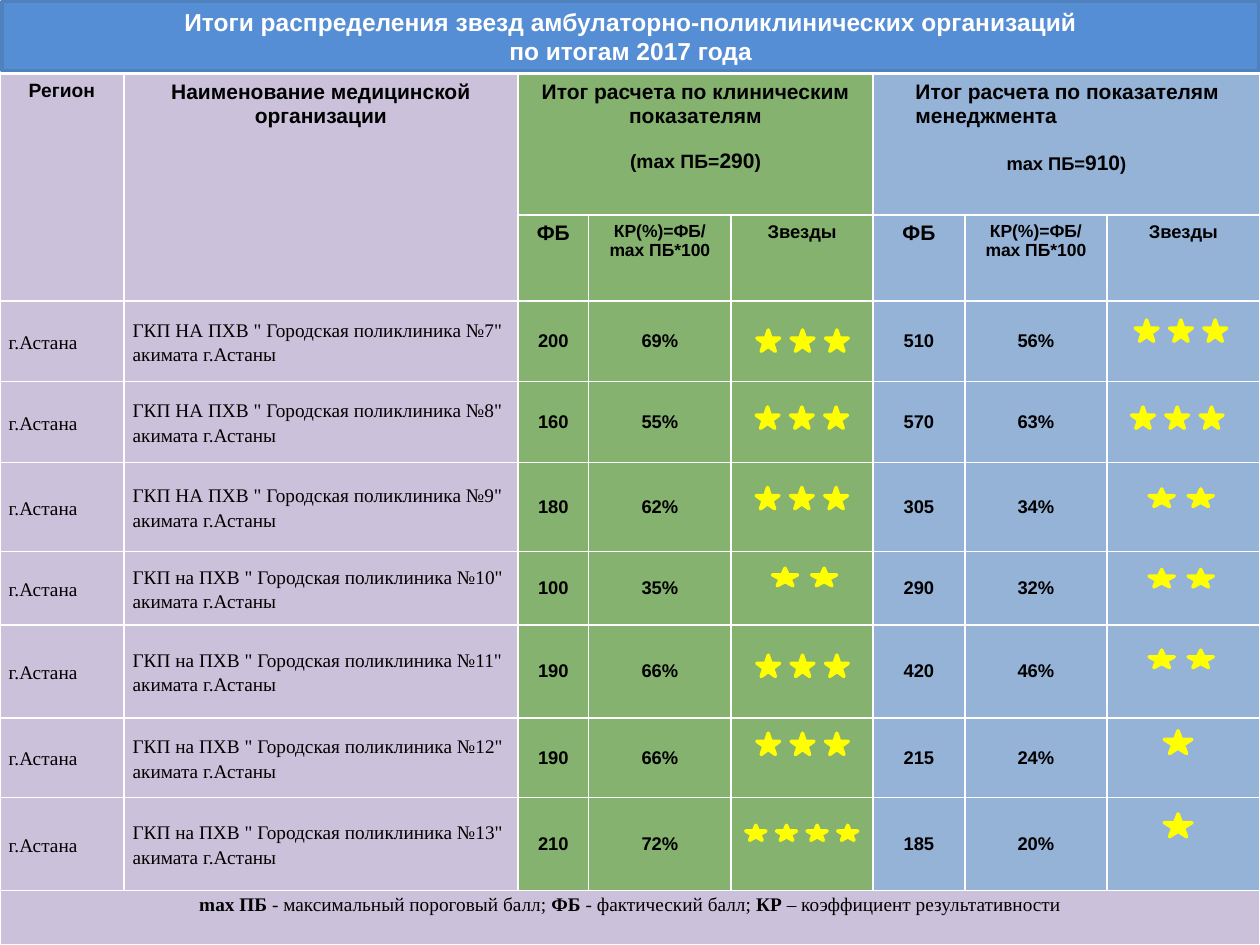
"""Build the slide with the 2017 star ratings of Astana outpatient clinics."""
from dataclasses import dataclass

from lxml.etree import SubElement
from pptx import Presentation
from pptx.dml.color import RGBColor
from pptx.enum.shapes import MSO_SHAPE as Preset
from pptx.enum.text import MSO_ANCHOR as Anchor, PP_ALIGN as Align
from pptx.oxml.ns import qn
from pptx.slide import Slide
from pptx.table import Table, _Cell as Cell
from pptx.util import Pt

WHITE = RGBColor(0xFF, 0xFF, 0xFF)
BLACK = RGBColor(0x00, 0x00, 0x00)
TITLE_BLUE = RGBColor(0x55, 0x8E, 0xD5)
TITLE_EDGE = RGBColor(0x4F, 0x81, 0xBD)
LILAC = RGBColor(0xCC, 0xC1, 0xDA)
GREEN = RGBColor(0x85, 0xB2, 0x6E)
BLUE = RGBColor(0x95, 0xB3, 0xD7)
YELLOW = RGBColor(0xFF, 0xFF, 0x00)
SANS, SERIF = "Arial", "Times New Roman"

COLUMN_WIDTHS = (70.8, 225.2, 40.4, 81.4, 81.2, 52.4, 81.2, 87.4)
HEADER_HEIGHTS = (80.6, 49)
FOOTER_HEIGHT = 31
TABLE_TOP = 42.4
COLUMN_FILLS = (LILAC,) * 2 + (GREEN,) * 3 + (BLUE,) * 3
CELL_MARGINS = (7.2, 3.6)
NAME_MARGINS = (5, 0)


@dataclass(frozen=True)
class Text:
    content: str
    size: float
    font: str = SANS
    bold: bool = True


@dataclass(frozen=True)
class Line:
    runs: tuple[Text, ...]
    align: Align = Align.CENTER
    spacing: float = 1
    before: float = 0
    indent: float = 0


@dataclass(frozen=True)
class StarSize:
    width: float
    height: float
    pitch: float = 0


@dataclass(frozen=True)
class Score:
    points: int
    percent: int
    stars: int
    center: float
    top: float


@dataclass(frozen=True)
class Clinic:
    name: str
    height: float
    clinical: Score
    management: Score


STAR_SIZES = {
    1: StarSize(15.8, 13),
    2: StarSize(14.4, 10, 22.3),
    3: StarSize(13, 12.2, 19.6),
    4: StarSize(11.5, 8.6, 17.5),
}
CLINICS = (
    Clinic("НА ПХВ \" Городская поликлиника №7\"", 46.1,
           Score(200, 69, 3, 458.6, 188.6), Score(510, 56, 3, 674.8, 182.9)),
    Clinic("НА ПХВ \" Городская поликлиника №8\"", 46.1,
           Score(160, 55, 3, 458.2, 232.6), Score(570, 63, 3, 672.7, 232.6)),
    Clinic("НА ПХВ \" Городская поликлиника №9\"", 51.1,
           Score(180, 62, 3, 458.2, 278.6), Score(305, 34, 2, 675, 279.4)),
    Clinic("на ПХВ \" Городская поликлиника №10\"", 41.8,
           Score(100, 35, 2, 459.8, 324.7), Score(290, 32, 2, 675, 325.4)),
    Clinic("на ПХВ \" Городская поликлиника №11\"", 53.3,
           Score(190, 66, 3, 458.6, 374.4), Score(420, 46, 2, 675, 371.5)),
    Clinic("на ПХВ \" Городская поликлиника №12\"", 45.4,
           Score(190, 66, 3, 458.6, 419), Score(215, 24, 1, 673.2, 417.6)),
    Clinic("на ПХВ \" Городская поликлиника №13\"", 53.3,
           Score(210, 72, 4, 458.2, 471.6), Score(185, 20, 1, 673.2, 465.1)),
)


def add_text(paragraph, text: Text, color: RGBColor = BLACK) -> None:
    run = paragraph.add_run()
    run.text = text.content
    run.font.size, run.font.name, run.font.bold = Pt(text.size), text.font, text.bold
    run.font.color.rgb = color


def style_cell(cell: Cell, fill: RGBColor) -> None:
    cell.fill.solid()
    cell.fill.fore_color.rgb = fill
    properties = cell._tc.get_or_add_tcPr()
    for position, side in enumerate(("a:lnL", "a:lnR", "a:lnT", "a:lnB")):
        border = SubElement(properties, qn(side), w=str(Pt(1)))
        SubElement(SubElement(border, qn("a:solidFill")), qn("a:srgbClr"), val=str(WHITE))
        properties.insert(position, border)


def write_cell(cell: Cell, *lines: Line, anchor: Anchor = Anchor.TOP,
               margins: tuple[float, float] = CELL_MARGINS) -> None:
    side, edge = margins
    cell.margin_left = cell.margin_right = Pt(side)
    cell.margin_top = cell.margin_bottom = Pt(edge)
    cell.vertical_anchor = anchor
    for number, line in enumerate(lines):
        frame = cell.text_frame
        paragraph = frame.add_paragraph() if number else frame.paragraphs[0]
        paragraph.alignment, paragraph.line_spacing = line.align, line.spacing
        if line.before:
            paragraph.space_before = Pt(line.before)
        if line.indent:
            paragraph._p.get_or_add_pPr().set("marL", str(Pt(line.indent)))
        for text in line.runs:
            add_text(paragraph, text)


def write_header(table: Table) -> None:
    for column in (0, 1):
        table.cell(0, column).merge(table.cell(1, column))
    for column in (2, 5):
        table.cell(0, column).merge(table.cell(0, column + 2))
    write_cell(table.cell(0, 0), Line((Text("Регион", 11),)))
    write_cell(table.cell(0, 1), Line((Text("Наименование медицинской организации", 12),)))
    write_cell(table.cell(0, 2), Line((Text("Итог расчета по клиническим показателям", 12),)),
               Line((Text("(mах ПБ=", 11), Text("290", 12), Text(")", 11)), before=12.6))
    write_cell(table.cell(0, 5),
               Line((Text("Итог расчета по показателям менеджмента", 12),), Align.LEFT, indent=17),
               Line((Text("mах ПБ=", 10.5), Text("910", 12), Text(")", 10.5)), before=13.8))
    labels = (Text("ФБ", 12), Text("КР(%)=ФБ/ mах ПБ*100", 10), Text("Звезды", 10.5))
    for first in (2, 5):
        for offset, label in enumerate(labels):
            write_cell(table.cell(1, first + offset), Line((label,)))


def write_clinic(table: Table, row: int, clinic: Clinic) -> None:
    for column, content in enumerate(("г.Астана", f"ГКП {clinic.name} акимата г.Астаны")):
        write_cell(table.cell(row, column), Line((Text(content, 11, SERIF, False),), Align.LEFT, 1.15),
                   anchor=Anchor.MIDDLE, margins=NAME_MARGINS)
    for first, score in ((2, clinic.clinical), (5, clinic.management)):
        for offset, content in enumerate((f"{score.points}", f"{score.percent}%")):
            write_cell(table.cell(row, first + offset), Line((Text(content, 10.5),)),
                       anchor=Anchor.MIDDLE, margins=(0, 0))


def write_footer(table: Table, row: int) -> None:
    table.cell(row, 0).merge(table.cell(row, len(COLUMN_WIDTHS) - 1))
    legend = (("mах ПБ ", "- максимальный пороговый балл; "), ("ФБ", " - фактический балл; "),
              ("КР", " – коэффициент результативности"))
    runs = tuple(Text(content, 11, SERIF, not position)
                 for entry in legend for position, content in enumerate(entry))
    write_cell(table.cell(row, 0), Line(runs, spacing=1.15), margins=NAME_MARGINS)


def add_rating_table(slide: Slide) -> None:
    heights = (*HEADER_HEIGHTS, *(clinic.height for clinic in CLINICS), FOOTER_HEIGHT)
    footer = len(heights) - 1
    table = slide.shapes.add_table(len(heights), len(COLUMN_WIDTHS), Pt(0), Pt(TABLE_TOP),
                                   Pt(sum(COLUMN_WIDTHS)), Pt(sum(heights))).table
    table.first_row = table.horz_banding = False
    for column, width in zip(table.columns, COLUMN_WIDTHS):
        column.width = Pt(width)
    for number, height in enumerate(heights):
        table.rows[number].height = Pt(height)
        for cell, fill in zip(table.rows[number].cells, COLUMN_FILLS):
            style_cell(cell, LILAC if number == footer else fill)
    write_header(table)
    for row, clinic in enumerate(CLINICS, len(HEADER_HEIGHTS)):
        write_clinic(table, row, clinic)
    write_footer(table, footer)


def add_stars(slide: Slide, score: Score) -> None:
    size = STAR_SIZES[score.stars]
    left = score.center - (size.width + size.pitch * (score.stars - 1)) / 2
    shapes = slide.shapes.add_group_shape().shapes if score.stars > 1 else slide.shapes
    for number in range(score.stars):
        star = shapes.add_shape(Preset.STAR_5_POINT, Pt(left + number * size.pitch), Pt(score.top),
                                Pt(size.width), Pt(size.height))
        star.shadow.inherit = False
        star.fill.solid()
        star.fill.fore_color.rgb = star.line.color.rgb = YELLOW
        star.line.width = Pt(2)


def add_title(slide: Slide) -> None:
    title = slide.shapes.title
    title.left, title.top, title.width, title.height = Pt(1.2), Pt(0.8), Pt(718.4), Pt(39.6)
    title.fill.solid()
    title.fill.fore_color.rgb = TITLE_BLUE
    title.line.color.rgb, title.line.width = TITLE_EDGE, Pt(2)
    title.text_frame.vertical_anchor = Anchor.MIDDLE
    paragraph = title.text_frame.paragraphs[0]
    paragraph.alignment = Align.CENTER
    add_text(paragraph, Text("Итоги распределения звезд амбулаторно-поликлинических организаций", 14), WHITE)
    paragraph.add_line_break()
    add_text(paragraph, Text("по итогам 2017 года", 14), WHITE)


def main() -> None:
    presentation = Presentation()
    presentation.slide_width, presentation.slide_height = Pt(720), Pt(540)
    slide = presentation.slides.add_slide(presentation.slide_layouts[5])
    add_title(slide)
    add_rating_table(slide)
    for clinic in CLINICS:
        add_stars(slide, clinic.clinical)
        add_stars(slide, clinic.management)
    presentation.save("out.pptx")


if __name__ == "__main__":
    main()
